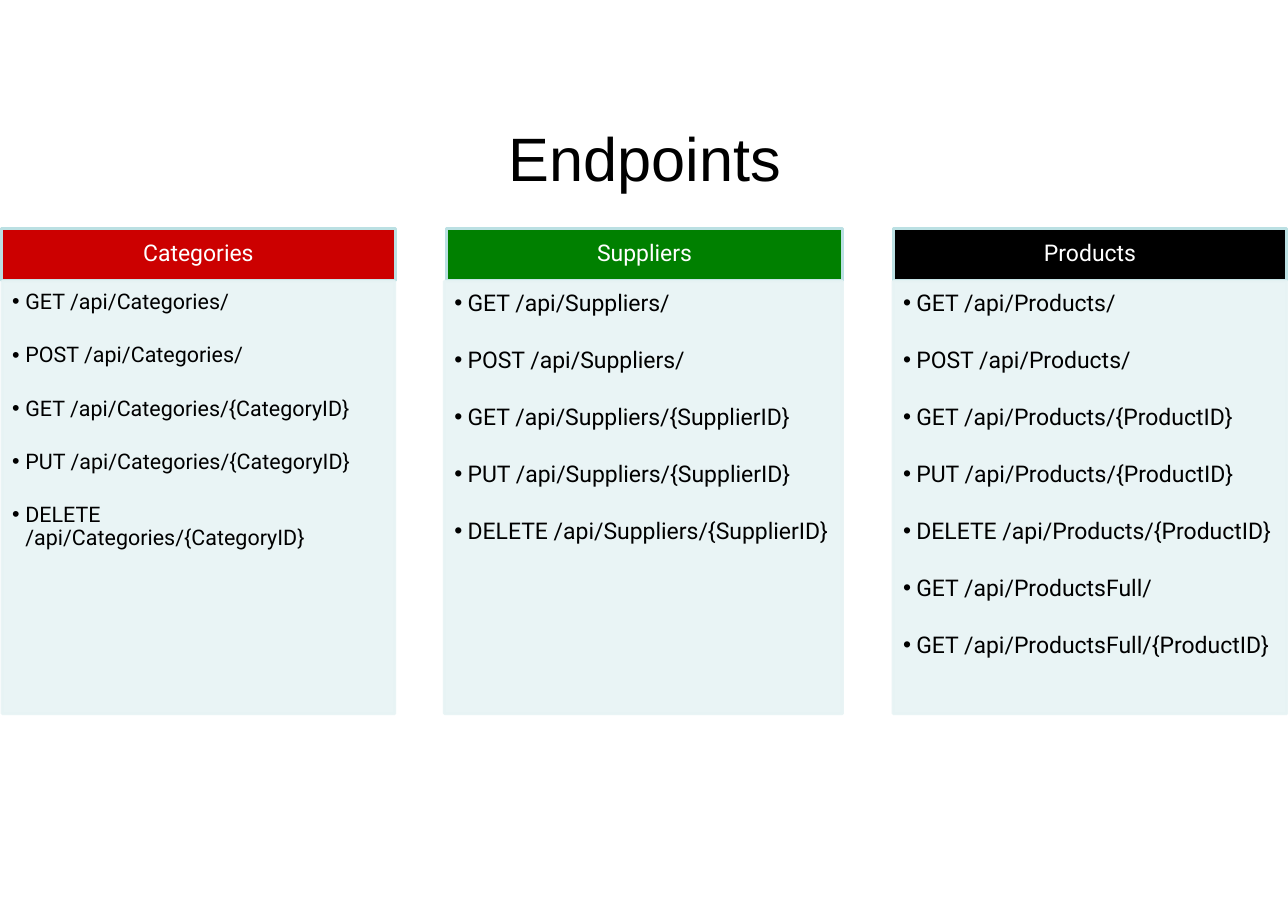
from lxml.etree import SubElement
from pptx import Presentation
from pptx.dml.color import RGBColor
from pptx.enum.shapes import MSO_SHAPE
from pptx.enum.text import MSO_ANCHOR, PP_ALIGN
from pptx.oxml.ns import qn
from pptx.util import Inches, Pt

# Content
TITLE = "Endpoints"
RESOURCES = [
    {"name": "Categories", "color": "CC0000", "size": 14,
     "header": (0.01, 3.58), "card": (0.02, 3.56),
     "endpoints": ["GET /api/Categories/",
                   "POST /api/Categories/",
                   "GET /api/Categories/{CategoryID}",
                   "PUT /api/Categories/{CategoryID}",
                   "DELETE /api/Categories/{CategoryID}"]},
    {"name": "Suppliers", "color": "008000", "size": 15,
     "header": (4.05, 3.59), "card": (4.03, 3.61),
     "endpoints": ["GET /api/Suppliers/",
                   "POST /api/Suppliers/",
                   "GET /api/Suppliers/{SupplierID}",
                   "PUT /api/Suppliers/{SupplierID}",
                   "DELETE /api/Suppliers/{SupplierID}"]},
    {"name": "Products", "color": "000000", "size": 15,
     "header": (8.10, 3.57), "card": (8.10, 3.57),
     "endpoints": ["GET /api/Products/",
                   "POST /api/Products/",
                   "GET /api/Products/{ProductID}",
                   "PUT /api/Products/{ProductID}",
                   "DELETE /api/Products/{ProductID}",
                   "GET /api/ProductsFull/",
                   "GET /api/ProductsFull/{ProductID}"]},
]

# Layout and style
HEADER_TOP, HEADER_HEIGHT = 2.07, 0.47
CARD_TOP, CARD_HEIGHT = 2.55, 3.92
HEADER_LINE, CARD_COLOR = "BBE0E3", "E7F3F4"
CARD_OPACITY = 90
BULLET_INDENT = 0.12
LINE_SPACING = 0.9
GAP_PER_POINT = 1.4  # space between endpoints, relative to text size


def rgb(hex_color):
    return RGBColor.from_string(hex_color)


def set_frame(frame, anchor, left, top, right, bottom):
    frame.word_wrap = True
    frame.vertical_anchor = anchor
    frame.margin_left, frame.margin_top = Inches(left), Inches(top)
    frame.margin_right, frame.margin_bottom = Inches(right), Inches(bottom)


def add_run(paragraph, text, font, size, color):
    run = paragraph.add_run()
    run.text = text
    run.font.name = font
    run.font.size = Pt(size)
    run.font.color.rgb = rgb(color)


def add_panel(slide, left, top, width, height, fill, line):
    panel = slide.shapes.add_shape(
        MSO_SHAPE.RECTANGLE, Inches(left), Inches(top), Inches(width), Inches(height))
    panel.shadow.inherit = False
    panel.fill.solid()
    panel.fill.fore_color.rgb = rgb(fill)
    panel.line.color.rgb = rgb(line)
    panel.line.width = Pt(2)
    return panel


def set_opacity(shape, percent):
    for color in shape.fill._xPr.iter(qn("a:srgbClr")):
        SubElement(color, qn("a:alpha"), val=str(percent * 1000))


def add_bullet(paragraph):
    properties = paragraph._p.get_or_add_pPr()
    properties.set("marL", str(Inches(BULLET_INDENT)))
    properties.set("indent", str(-Inches(BULLET_INDENT)))
    SubElement(properties, qn("a:buFont"), typeface="Arial")
    SubElement(properties, qn("a:buChar"), char="•")


def add_header(slide, resource):
    left, width = resource["header"]
    header = add_panel(slide, left, HEADER_TOP, width, HEADER_HEIGHT,
                       resource["color"], HEADER_LINE)
    set_frame(header.text_frame, MSO_ANCHOR.MIDDLE, 0.12, 0.07, 0.12, 0.07)
    name = header.text_frame.paragraphs[0]
    name.alignment = PP_ALIGN.CENTER
    name.line_spacing = LINE_SPACING
    add_run(name, resource["name"], "Roboto", 15, "FFFFFF")


def add_card(slide, resource):
    left, width = resource["card"]
    size = resource["size"]
    card = add_panel(slide, left, CARD_TOP, width, CARD_HEIGHT, CARD_COLOR, CARD_COLOR)
    set_opacity(card, CARD_OPACITY)
    frame = card.text_frame
    set_frame(frame, MSO_ANCHOR.TOP, 0.09, 0.09, 0.11, 0.12)
    for index, endpoint in enumerate(resource["endpoints"]):
        item = frame.add_paragraph() if index else frame.paragraphs[0]
        item.alignment = PP_ALIGN.LEFT
        item.line_spacing = LINE_SPACING
        item.space_after = Pt(size * GAP_PER_POINT)
        add_bullet(item)
        add_run(item, endpoint, "Roboto", size, "000000")


def main():
    deck = Presentation()
    deck.slide_width, deck.slide_height = Inches(11.68), Inches(8.26)
    slide = deck.slides.add_slide(deck.slide_layouts[6])

    # Title
    title = slide.shapes.add_textbox(Inches(0.88), Inches(0.73), Inches(9.94), Inches(1.38))
    set_frame(title.text_frame, MSO_ANCHOR.MIDDLE, 0.06, 0.06, 0.06, 0.06)
    heading = title.text_frame.paragraphs[0]
    heading.alignment = PP_ALIGN.CENTER
    add_run(heading, TITLE, "Arial", 40, "000000")

    # One column per resource
    for resource in RESOURCES:
        add_header(slide, resource)
        add_card(slide, resource)

    deck.save("out.pptx")


if __name__ == "__main__":
    main()
